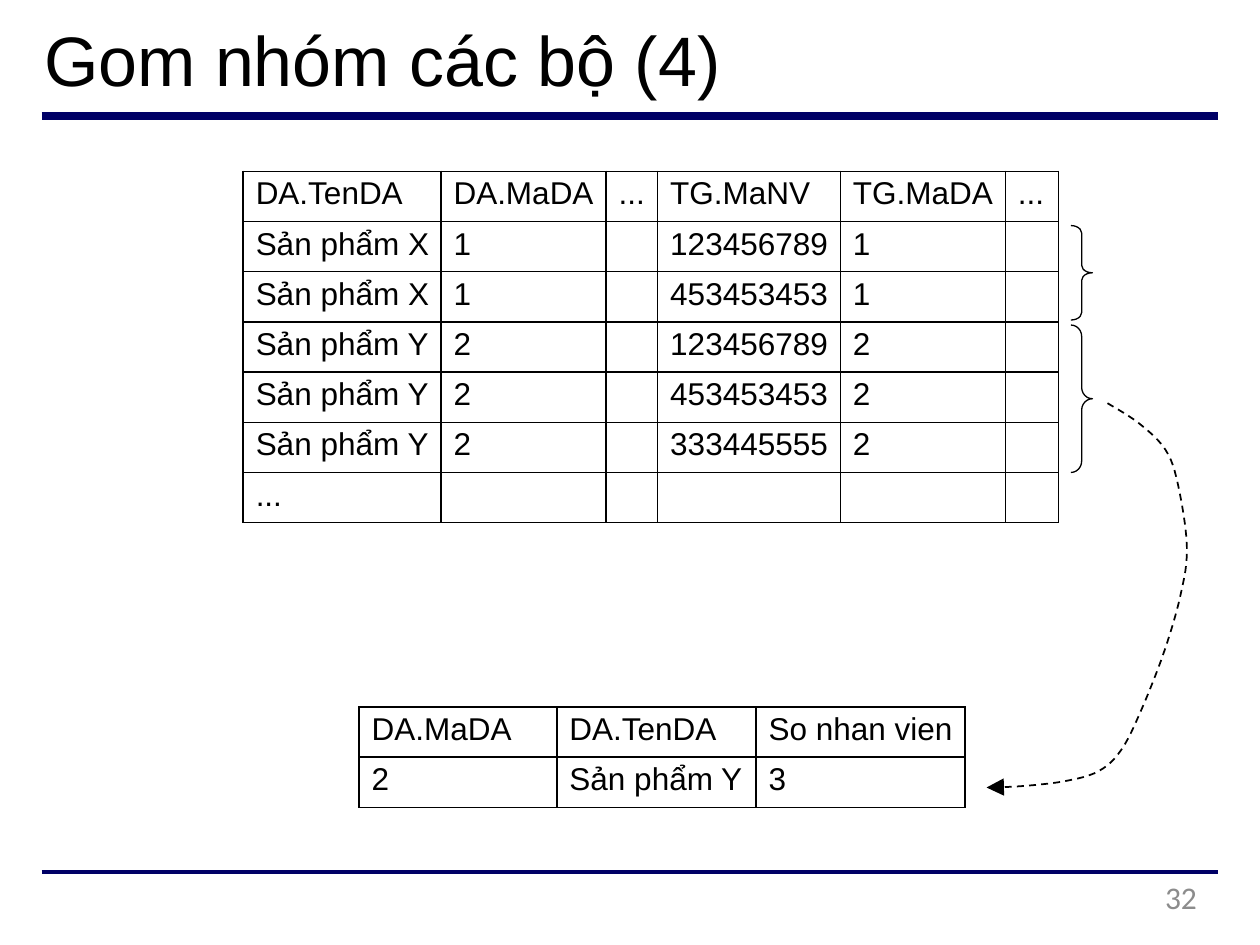
import dataclasses

import lxml.etree
import pptx
import pptx.dml.color
import pptx.enum.dml
import pptx.enum.shapes
import pptx.enum.text
import pptx.oxml.ns
import pptx.util

Inches = pptx.util.Inches
Pt = pptx.util.Pt
Align = pptx.enum.text.PP_ALIGN
Anchor = pptx.enum.text.MSO_ANCHOR
qn = pptx.oxml.ns.qn

BLACK, NAVY, GREY = "000000", "000066", "8C8C8C"


@dataclasses.dataclass
class Grid:
    left: float
    top: float
    height: float
    cols: list[float]
    rows: list[list[str]]


@dataclasses.dataclass
class Label:
    text: str
    box: tuple[float, float, float, float]
    size: float
    font: str
    color: str
    align: Align
    anchor: Anchor


@dataclasses.dataclass
class Brace:
    top: float
    height: float
    bend: float


@dataclasses.dataclass
class Rule:
    y: float
    weight: float


def add_node(parent, tag: str, **attrs: str):
    return lxml.etree.SubElement(parent, qn(tag), **attrs)


def rgb(code: str) -> pptx.dml.color.RGBColor:
    return pptx.dml.color.RGBColor.from_string(code)


def set_line(line, color: str, weight: float) -> None:
    line.color.rgb = rgb(color)
    line.width = Pt(weight)


def add_run(para, text: str, size: float, font: str, color: str) -> None:
    run = para.add_run()
    run.text = text
    run.font.size = Pt(size)
    run.font.name = font
    run.font.color.rgb = rgb(color)


def draw_rule(slide, rule: Rule) -> None:
    y = Inches(rule.y)
    line = slide.shapes.add_connector(
        pptx.enum.shapes.MSO_CONNECTOR.STRAIGHT, Inches(0.33), y, Inches(9.67), y)
    set_line(line.line, NAVY, rule.weight)
    add_node(line._element.spPr, "a:effectLst")


def draw_label(slide, label: Label) -> None:
    frame = slide.shapes.add_textbox(*map(Inches, label.box)).text_frame
    frame.margin_left = frame.margin_right = 0
    frame.margin_top = frame.margin_bottom = 0
    frame.word_wrap = True
    frame.vertical_anchor = label.anchor
    para = frame.paragraphs[0]
    para.alignment = label.align
    add_run(para, label.text, label.size, label.font, label.color)


def style_cell(cell, text: str) -> None:
    cell.margin_left, cell.margin_top = Inches(0.1), Inches(0.04)
    cell.margin_right = cell.margin_bottom = 0
    para = cell.text_frame.paragraphs[0]
    para.font.size = Pt(18)
    if text:
        add_run(para, text, 18, "Arial", BLACK)
    props = cell._tc.get_or_add_tcPr()
    for side in "LRTB":
        edge = add_node(props, f"a:ln{side}", w=str(Pt(1)))
        add_node(add_node(edge, "a:solidFill"), "a:srgbClr", val=BLACK)
    cell.fill.background()


def draw_grid(slide, grid: Grid) -> None:
    table = slide.shapes.add_table(
        len(grid.rows), len(grid.cols), Inches(grid.left), Inches(grid.top),
        Inches(sum(grid.cols)), Inches(grid.height)).table
    table.first_row = table.horz_banding = False
    for col, width in zip(table.columns, grid.cols):
        col.width = Inches(width)
    for row, texts in zip(table.rows, grid.rows):
        row.height = Inches(grid.height / len(grid.rows))
        for cell, text in zip(row.cells, texts):
            style_cell(cell, text)


def draw_brace(slide, brace: Brace) -> None:
    shape = slide.shapes.add_shape(
        pptx.enum.shapes.MSO_SHAPE.RIGHT_BRACE, Inches(8.5), Inches(brace.top),
        Inches(0.17), Inches(brace.height))
    shape.adjustments[0] = brace.bend
    shape.shadow.inherit = False
    shape.fill.background()
    set_line(shape.line, BLACK, 0.75)


def smooth(knots: list[tuple[float, float]], steps: int = 6) -> list[tuple[float, float]]:
    """Sample a Catmull-Rom curve through the knots."""
    ends = [knots[0], *knots, knots[-1]]
    curve = []
    for a, b, c, d in zip(ends, ends[1:], ends[2:], ends[3:]):
        for t in (i / steps for i in range(steps)):
            curve.append(tuple(
                q + t * (r - p) / 2 + t * t * (2 * p - 5 * q + 4 * r - s) / 2
                + t ** 3 * (3 * q - p - 3 * r + s) / 2
                for p, q, r, s in zip(a, b, c, d)))
    return curve + [knots[-1]]


def draw_arrow(slide, knots: list[tuple[float, float]]) -> None:
    points = [(Inches(x), Inches(y)) for x, y in smooth(knots)]
    path = slide.shapes.build_freeform(*points[0])
    path.add_line_segments(points[1:], close=False)
    shape = path.convert_to_shape()
    shape.shadow.inherit = False
    shape.fill.background()
    set_line(shape.line, BLACK, 1)
    shape.line.dash_style = pptx.enum.dml.MSO_LINE.SQUARE_DOT
    shape.line.dash_style = pptx.enum.dml.MSO_LINE.DASH
    add_node(shape.line._get_or_add_ln(), "a:tailEnd", type="triangle", w="lg", len="lg")


X, Y = "Sản phẩm X", "Sản phẩm Y"
JOINED = [(X, "1", "123456789"), (X, "1", "453453453"), (Y, "2", "123456789"),
          (Y, "2", "453453453"), (Y, "2", "333445555")]
GRIDS = [
    Grid(1.93, 1.36, 2.79, [1.57, 1.31, 0.41, 1.45, 1.31, 0.42], [
        ["DA.TenDA", "DA.MaDA", "...", "TG.MaNV", "TG.MaDA", "..."],
        *([name, code, "", staff, code, ""] for name, code, staff in JOINED),
        ["...", "", "", "", "", ""]]),
    Grid(2.85, 5.61, 0.8, [1.57, 1.58, 1.66], [
        ["DA.MaDA", "DA.TenDA", "So nhan vien"], ["2", Y, "3"]]),
]
LABELS = [
    Label("Gom nhóm các bộ (4)", (0.35, 0.11, 7.28, 0.69), 40, "Arial", BLACK,
          Align.LEFT, Anchor.BOTTOM),
    Label("32", (7.2, 6.97, 2.3, 0.38), 18, "Calibri", GREY, Align.RIGHT, Anchor.TOP),
]
RULES = [Rule(0.92, 4.5), Rule(6.92, 2.25)]
BRACES = [Brace(1.79, 0.75, 0.35), Brace(2.58, 1.17, 0.53)]
ARROW = [(8.79, 3.2), (9.04, 3.36), (9.25, 3.57), (9.35, 3.85), (9.42, 4.34),
         (9.37, 4.72), (9.24, 5.17), (9.06, 5.63), (8.9, 5.95), (8.72, 6.12),
         (8.45, 6.2), (8.1, 6.24), (7.83, 6.25)]


def main() -> None:
    deck = pptx.Presentation()
    deck.slide_width, deck.slide_height = Inches(10), Inches(7.5)
    slide = deck.slides.add_slide(deck.slide_layouts[6])
    for rule in RULES:
        draw_rule(slide, rule)
    for label in LABELS:
        draw_label(slide, label)
    for grid in GRIDS:
        draw_grid(slide, grid)
    draw_arrow(slide, ARROW)
    for brace in BRACES:
        draw_brace(slide, brace)
    deck.save("out.pptx")


if __name__ == "__main__":
    main()
